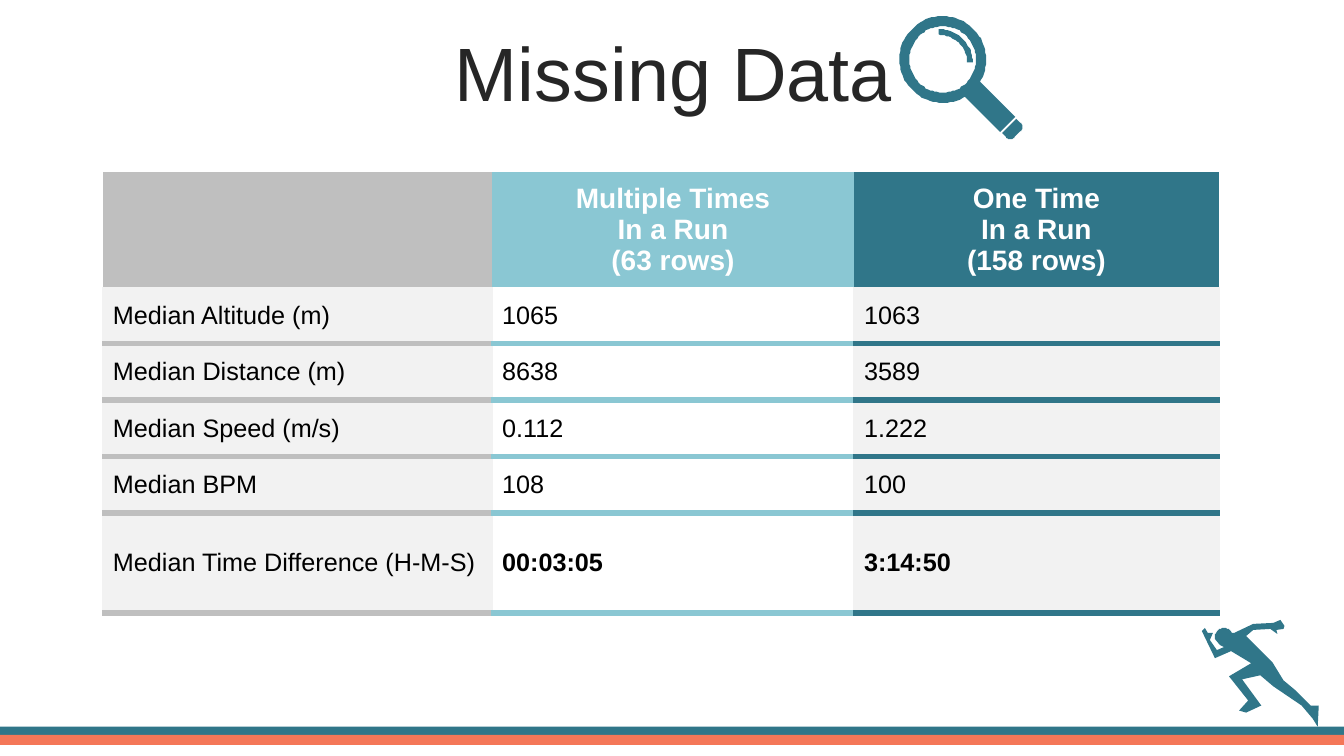
from dataclasses import dataclass
from math import cos, radians, sin

from lxml import etree
from pptx import Presentation
from pptx.dml.color import RGBColor
from pptx.enum.shapes import MSO_SHAPE
from pptx.enum.text import MSO_ANCHOR, MSO_AUTO_SIZE, PP_ALIGN
from pptx.oxml.ns import qn
from pptx.shapes.autoshape import Shape
from pptx.slide import Slide
from pptx.table import _Cell
from pptx.text.text import _Paragraph
from pptx.util import Inches, Pt

RECT = MSO_SHAPE.RECTANGLE
MIDDLE = MSO_ANCHOR.MIDDLE
NO_FIT = MSO_AUTO_SIZE.NONE
LEFT, CENTER = PP_ALIGN.LEFT, PP_ALIGN.CENTER

TEAL = RGBColor(0x30, 0x76, 0x89)
AQUA = RGBColor(0x8A, 0xC7, 0xD3)
CORAL = RGBColor(0xF4, 0x77, 0x58)
SILVER = RGBColor(0xBF, 0xBF, 0xBF)
PALE = RGBColor(0xF2, 0xF2, 0xF2)
WHITE = RGBColor(0xFF, 0xFF, 0xFF)
BLACK = RGBColor(0, 0, 0)
DARK = RGBColor(0x26, 0x26, 0x26)

FONT = "Arial"
UNIT = Inches(0.01)  # icon points are in hundredths of an inch

Point = tuple[float, float]


@dataclass
class Column:
    width: float
    accent: RGBColor
    fill: RGBColor
    head: tuple[str, ...]
    values: tuple[str, ...]


@dataclass
class Stripe:
    top: float
    color: RGBColor


COLUMNS = [
    Column(3.86, SILVER, PALE, (),
           ("Median Altitude (m)", "Median Distance (m)", "Median Speed (m/s)",
            "Median BPM", "Median Time Difference (H-M-S)")),
    Column(3.59, AQUA, WHITE, ("Multiple Times", "In a Run", "(63 rows)"),
           ("1065", "8638", "0.112", "108", "00:03:05")),
    Column(3.62, TEAL, PALE, ("One Time", "In a Run", "(158 rows)"),
           ("1063", "3589", "1.222", "100", "3:14:50")),
]
ROWS = [1.14] + [0.56] * 4 + [0.99]
STRIPES = [Stripe(7.21, TEAL), Stripe(7.29, CORAL)]


def arc(x: float, y: float, r: float, start: int, end: int) -> list[Point]:
    step = 4 if end > start else -4
    angles = [radians(a) for a in range(start, end + step, step)]
    return [(x + r * cos(a), y + r * sin(a)) for a in angles]


RUNNER: list[Point] = [
    # back foot and leg, up to the shoulder
    (1307, 721), (1308, 700), (1300, 700), (1285, 685), (1273, 675),
    (1262, 657), (1236, 631),
    # rear arm and hand
    (1243, 625), (1260, 624), (1267, 629), (1266, 625), (1273, 624),
    (1274, 621), (1270, 615), (1263, 618), (1243, 619), (1224, 628),
    # head
    *arc(1214, 632, 9, -30, -190), (1210, 640), (1214, 642), (1207, 645),
    # front arm and hand
    (1200, 635), (1203, 628), (1198, 628), (1195, 623), (1192, 626),
    (1205, 653), (1221, 646), (1241, 658),
    # front leg and foot
    (1219, 671), (1238, 695), (1229, 705), (1236, 707), (1251, 700),
    (1232, 674), (1250, 670),
    # underside of the back leg
    (1263, 681), (1291, 700), (1302, 713),
]

GLASS: list[list[Point]] = [
    # rim with handle, hole, glint, tip
    arc(935, 59, 43, 59, 391) + [(1007, 116), (992, 131)],
    arc(935, 59, 33, 360, 0),
    arc(931, 63, 34, -90, -2) + arc(931, 63, 28.5, -2, -90),
    [(1008, 118), *arc(1008, 126, 6, -45, 45), *arc(1002, 132, 6, 45, 135),
     (994, 132)],
]


def paint(shape: Shape, color: RGBColor) -> None:
    shape.shadow.inherit = False
    shape.fill.solid()
    shape.fill.fore_color.rgb = color
    shape.line.fill.background()


def icon(slide: Slide, loops: list[list[Point]]) -> None:
    pen = slide.shapes.build_freeform(*loops[0][0], scale=UNIT)
    for i, loop in enumerate(loops):
        if i:
            pen.move_to(*loop[0])
        pen.add_line_segments(loop[1:], close=True)
    paint(pen.convert_to_shape(), TEAL)


def write(par: _Paragraph, lines: tuple[str, ...], size: int,
          color: RGBColor, bold: bool, align: PP_ALIGN) -> None:
    par.alignment = align
    for i, line in enumerate(lines):
        if i:
            par.add_line_break()
        run = par.add_run()
        run.text = line
        font = run.font
        font.name, font.size, font.bold = FONT, Pt(size), bold
        font.color.rgb = color


def edge(cell: _Cell, side: str, color: RGBColor | None, width: float) -> None:
    props = cell._tc.get_or_add_tcPr()
    line = etree.SubElement(props, qn(f"a:ln{side}"), w=str(Pt(width)))
    if color is None:
        etree.SubElement(line, qn("a:noFill"))
    else:
        fill = etree.SubElement(line, qn("a:solidFill"))
        etree.SubElement(fill, qn("a:srgbClr"), val=str(color))


def style(cell: _Cell, col: Column, row: int) -> None:
    rim = PALE if row else None
    edge(cell, "L", rim, 1)
    edge(cell, "R", rim, 1)
    edge(cell, "T", col.accent if row > 1 else None, 4.5)
    edge(cell, "B", col.accent if row else None, 4.5)
    cell.fill.solid()
    cell.fill.fore_color.rgb = col.fill if row else col.accent
    cell.vertical_anchor = MIDDLE


def grid(slide: Slide) -> None:
    wide = sum(col.width for col in COLUMNS)
    frame = slide.shapes.add_table(len(ROWS), len(COLUMNS), Inches(1.02),
                                   Inches(1.71), Inches(wide), Inches(sum(ROWS)))
    table = frame.table
    table.first_row = table.horz_banding = False
    for r, high in enumerate(ROWS):
        table.rows[r].height = Inches(high)
    for c, col in enumerate(COLUMNS):
        table.columns[c].width = Inches(col.width)
        for r in range(len(ROWS)):
            cell = table.cell(r, c)
            style(cell, col, r)
            par = cell.text_frame.paragraphs[0]
            if r == 0:
                write(par, col.head, 20, WHITE, True, CENTER)
            else:
                bold = c > 0 and r == len(ROWS) - 1
                write(par, (col.values[r - 1],), 18, BLACK, bold, LEFT)


def main() -> None:
    deck = Presentation()
    deck.slide_width, deck.slide_height = Inches(13.33), Inches(7.5)
    slide = deck.slides.add_slide(deck.slide_layouts[5])

    # Title
    title = slide.shapes.title
    title.left, title.top = Inches(0.35), Inches(0.37)
    title.width, title.height = Inches(12.66), Inches(0.79)
    text = title.text_frame
    text.auto_size, text.vertical_anchor = NO_FIT, MIDDLE
    text.paragraphs[0].line_spacing = 0.9
    write(text.paragraphs[0], ("Missing Data",), 54, DARK, False, CENTER)

    # Footer stripes and icons
    for bar in STRIPES:
        paint(slide.shapes.add_shape(RECT, 0, Inches(bar.top), deck.slide_width,
                                     Inches(0.1)), bar.color)
    icon(slide, [RUNNER])
    icon(slide, GLASS)

    # Comparison table
    grid(slide)
    deck.save("out.pptx")


if __name__ == "__main__":
    main()
